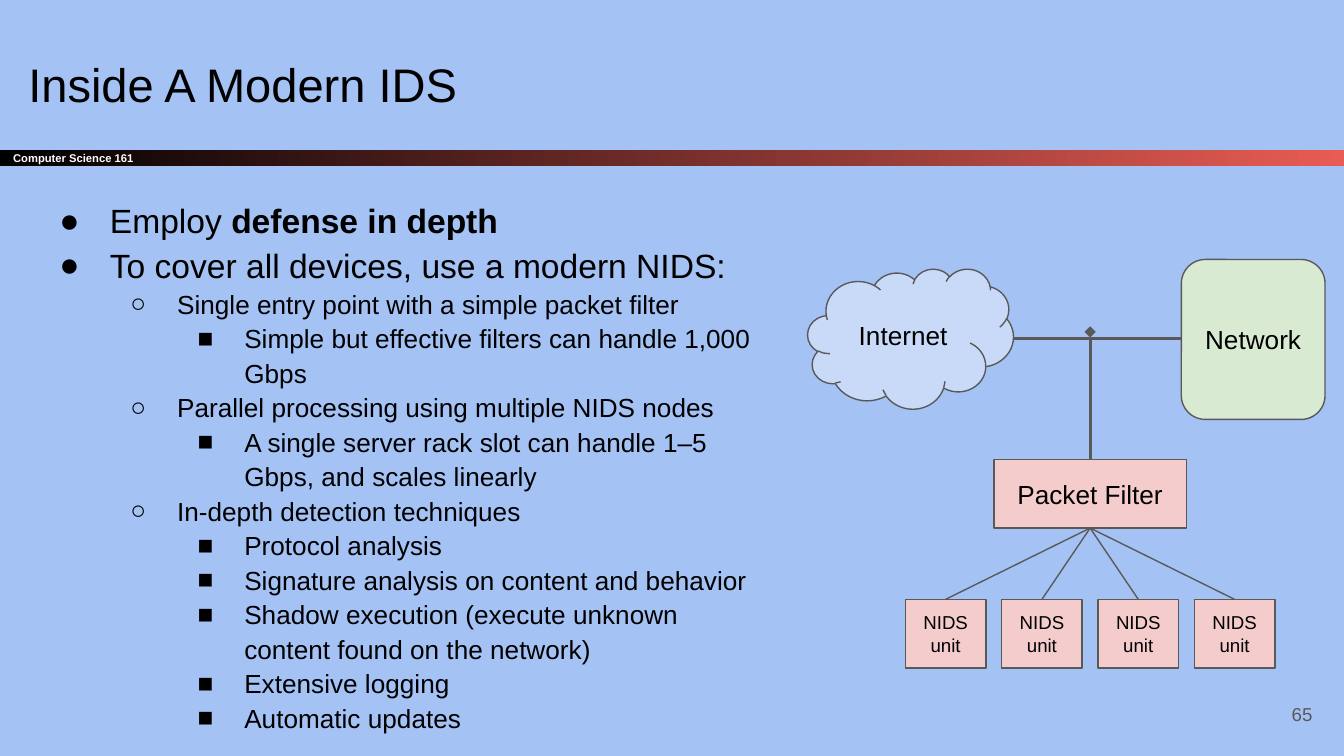
from lxml.etree import SubElement
from pptx import Presentation
from pptx.dml.color import RGBColor
from pptx.enum.shapes import MSO_CONNECTOR, MSO_SHAPE
from pptx.enum.text import MSO_ANCHOR, MSO_AUTO_SIZE, PP_ALIGN
from pptx.oxml.ns import qn
from pptx.util import Pt

COLORS = {
    "background": "A4C2F4", "text": "000000", "line": "595959",
    "bar_start": "000000", "bar_end": "E85C54", "bar_text": "FFFFFF",
    "cloud": "C9DAF8", "network": "D9EAD3", "nids": "F4CCCC",
}
RGB = {name: RGBColor.from_string(value) for name, value in COLORS.items()}


def write(shape, text, size, color="text", align=PP_ALIGN.CENTER, anchor=MSO_ANCHOR.MIDDLE):
    tf = shape.text_frame
    tf.word_wrap = True
    tf.auto_size = MSO_AUTO_SIZE.NONE
    tf.vertical_anchor = anchor
    tf.margin_left = tf.margin_right = tf.margin_top = tf.margin_bottom = Pt(7.2)
    tf.text = text
    p = tf.paragraphs[0]
    p.alignment = align
    font = p.runs[0].font
    font.name = "Arial"
    font.size = Pt(size)
    font.color.rgb = RGB[color]
    return font


def connect(x1, y1, x2, y2, width):
    line = s.shapes.add_connector(MSO_CONNECTOR.STRAIGHT, Pt(x1), Pt(y1), Pt(x2), Pt(y2))
    line.line.color.rgb = RGB["line"]
    line.line.width = Pt(width)
    SubElement(line._element.spPr, qn("a:effectLst"))
    return line


prs = Presentation()
prs.slide_width, prs.slide_height = Pt(720), Pt(405)
s = prs.slides.add_slide(prs.slide_layouts[5])
s.background.fill.solid()
s.background.fill.fore_color.rgb = RGB["background"]

bar = s.shapes.add_shape(MSO_SHAPE.RECTANGLE, 0, Pt(80.2), Pt(720), Pt(8.6))
bar.shadow.inherit = False
bar.line.fill.background()
bar.fill.gradient()
bar.fill.gradient_angle = 0
for stop, position, name in zip(bar.fill.gradient_stops, (0, 1), ("bar_start", "bar_end")):
    stop.position = position
    stop.color.rgb = RGB[name]
write(bar, "Computer Science 161", 6, "bar_text", PP_ALIGN.LEFT).bold = True

title = s.shapes.title
title.left, title.top, title.width, title.height = Pt(8), Pt(21.6), Pt(671), Pt(45.4)
write(title, "Inside A Modern IDS", 25.2, align=PP_ALIGN.LEFT, anchor=MSO_ANCHOR.BOTTOM)

number = s.shapes.add_textbox(Pt(667), Pt(367.2), Pt(43.2), Pt(31))
write(number, "65", 10, "line", PP_ALIGN.RIGHT)

LEVELS = [("●", 18, 27), ("○", 14, 25), ("■", 14, 25)]
bullets = [
    (0, ["Employ ", "defense in depth"]),
    (0, ["To cover all devices, use a modern NIDS:"]),
    (1, ["Single entry point with a simple packet filter"]),
    (2, ["Simple but effective filters can handle 1,000 Gbps"]),
    (1, ["Parallel processing using multiple NIDS nodes"]),
    (2, ["A single server rack slot can handle 1–5 Gbps, and scales linearly"]),
    (1, ["In-depth detection techniques"]),
    (2, ["Protocol analysis"]),
    (2, ["Signature analysis on content and behavior"]),
    (2, ["Shadow execution (execute unknown content found on the network)"]),
    (2, ["Extensive logging"]),
    (2, ["Automatic updates"]),
]
body = s.shapes.add_textbox(Pt(15.8), Pt(98), Pt(404.6), Pt(296.6))
tf = body.text_frame
tf.word_wrap = True
tf.margin_left = tf.margin_right = tf.margin_top = tf.margin_bottom = Pt(7.2)
for i, (level, parts) in enumerate(bullets):
    symbol, size, hanging = LEVELS[level]
    p = tf.add_paragraph() if i else tf.paragraphs[0]
    p.level = level
    p.line_spacing = 1.1
    pPr = p._p.get_or_add_pPr()
    pPr.set("marL", str(Pt(36 * (level + 1))))
    pPr.set("indent", str(-Pt(hanging)))
    bullet_color = SubElement(pPr, qn("a:buClr"))
    SubElement(bullet_color, qn("a:srgbClr"), val=COLORS["text"])
    SubElement(pPr, qn("a:buFont"), typeface="Arial")
    SubElement(pPr, qn("a:buChar"), char=symbol)
    for j, part in enumerate(parts):
        r = p.add_run()
        r.text = part
        r.font.name = "Arial"
        r.font.size = Pt(size)
        r.font.bold = j == 1
        r.font.color.rgb = RGB["text"]

center, filter_bottom, unit_top = 584, 282.9, 321.1
unit_width, unit_pitch = 43.2, 51.6
unit_lefts = [center + (i - 1.5) * unit_pitch - unit_width / 2 for i in range(4)]
nodes = [
    (MSO_SHAPE.CLOUD, "Internet", 14, "cloud", 432.7, 144, 110.2, 75),
    (MSO_SHAPE.ROUNDED_RECTANGLE, "Network", 14, "network", 632.9, 139, 77, 85.7),
    (MSO_SHAPE.RECTANGLE, "Packet Filter", 14, "nids", 532.4, 246.2, 103.2, 36.7),
]
nodes += [(MSO_SHAPE.RECTANGLE, "NIDS unit", 10, "nids", left, unit_top, unit_width, 36.7)
          for left in unit_lefts]
for kind, text, size, color, left, top, width, height in nodes:
    node = s.shapes.add_shape(kind, Pt(left), Pt(top), Pt(width), Pt(height))
    node.shadow.inherit = False
    node.fill.solid()
    node.fill.fore_color.rgb = RGB[color]
    node.line.color.rgb = RGB["line"]
    node.line.width = Pt(0.75)
    write(node, text, size)

connect(542.9, 181.5, 632.9, 181.5, 1.5)
tap = connect(center, 246.2, center, 177.8, 1.5)
SubElement(tap.line._get_or_add_ln(), qn("a:tailEnd"), type="diamond")
for left in unit_lefts:
    connect(center, filter_bottom, left + unit_width / 2, unit_top, 0.75)

prs.save("out.pptx")
